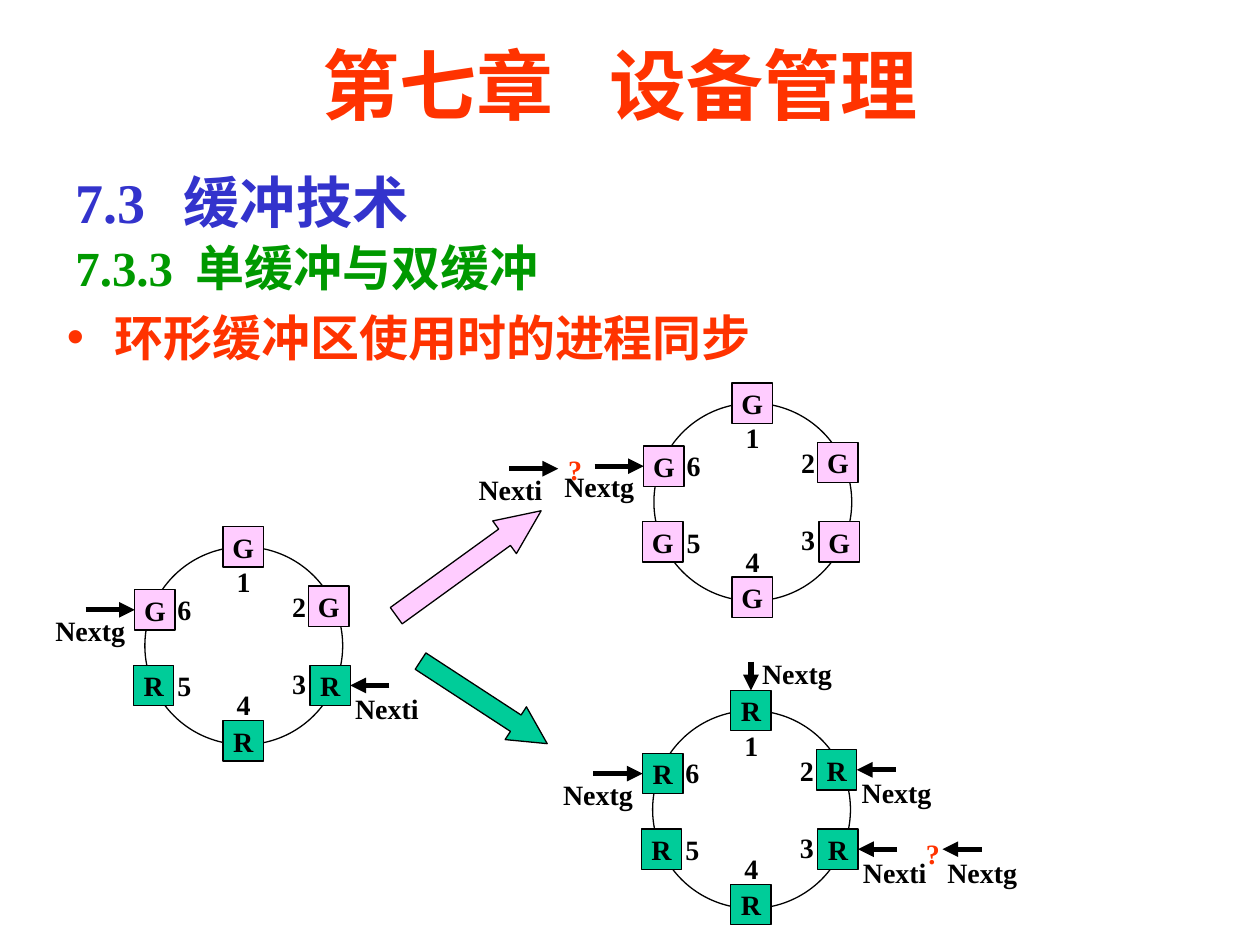
from lxml import etree
from pptx import Presentation
from pptx.dml.color import RGBColor
from pptx.enum.shapes import MSO_CONNECTOR, MSO_SHAPE
from pptx.enum.text import MSO_ANCHOR, MSO_AUTO_SIZE, PP_ALIGN
from pptx.oxml.ns import qn
from pptx.util import Inches, Pt

OVAL, RECTANGLE, ARROW = MSO_SHAPE.OVAL, MSO_SHAPE.RECTANGLE, MSO_SHAPE.RIGHT_ARROW
STRAIGHT = MSO_CONNECTOR.STRAIGHT
MIDDLE, TOP = MSO_ANCHOR.MIDDLE, MSO_ANCHOR.TOP
CENTER, LEFT = PP_ALIGN.CENTER, PP_ALIGN.LEFT
NO_AUTOFIT = MSO_AUTO_SIZE.NONE

FONT = "Times New Roman"
BLACK, RED, BLUE, GREEN = "000000", "FF3300", "3333CC", "009900"
PINK, TEAL = "FFCCFF", "00CC99"
SLOT_FILLS = {"G": PINK, "R": TEAL}

SLIDE_WIDTH, SLIDE_HEIGHT = Inches(10), Inches(7.5)
CELL = SLIDE_WIDTH / 100
RING, SLOT, LABEL_HEIGHT = 15.7, 3.2, 3.7
SLOT_OFFSETS = [(6.2, -1.6), (13, 3.1), (13.1, 9.4), (6.2, 13.8), (-0.9, 9.4), (-0.8, 3.4)]
NUMBER_OFFSETS = [(6.3, 0.9), (10.7, 2.9), (10.7, 9), (6.3, 10.7), (1.6, 9.2), (1.6, 3.1)]
POINTERS = {
    "top": ((0, -2.3), (-0.1, -3.2), 0),
    "left": ((-3.9, 0), (-7.3, -0.2), 1),
    "right": ((3.1, 0), (-0.6, 0), 3),
}


def cells(*values):
    return [round(value * CELL) for value in values]


def colour(value):
    return RGBColor.from_string(value)


def format_font(font, size, value):
    font.name = FONT
    font.size = Pt(size)
    font.bold = True
    font.color.rgb = colour(value)


def place(shape, box):
    shape.left, shape.top, shape.width, shape.height = cells(*box)


def add_gapped(para, before, gap, after, size, value):
    for text in (before, " ", after):
        span = para.add_run()
        span.text = text
        format_font(span.font, size, value)
        if text == " ":
            span.font._element.set("spc", str(gap * 100))


def add_outlined(page, kind, box, fill=None):
    shape = page.shapes.add_shape(kind, *cells(*box))
    shape.shadow.inherit = False
    shape.line.color.rgb = colour(BLACK)
    shape.line.width = Pt(0.75)
    if fill:
        shape.fill.solid()
        shape.fill.fore_color.rgb = colour(fill)
    else:
        shape.fill.background()
    return shape


def add_label(page, text, left, top, width=SLOT, value=BLACK):
    label = page.shapes.add_textbox(*cells(left, top, width, LABEL_HEIGHT))
    label.text_frame.word_wrap = True
    para = label.text_frame.paragraphs[0]
    para.text = text
    format_font(para.font, 16, value)


def add_slot(page, state, left, top):
    slot = add_outlined(page, RECTANGLE, (left, top, SLOT, SLOT), SLOT_FILLS[state])
    frame = slot.text_frame
    frame.word_wrap = False
    frame.vertical_anchor = MIDDLE
    para = frame.paragraphs[0]
    para.text = state
    para.alignment = CENTER
    format_font(para.font, 16, BLACK)
    return slot


def add_ring(page, left, top, states):
    add_outlined(page, OVAL, (left, top, RING, RING))
    slots = []
    for state, (across, down) in zip(states, SLOT_OFFSETS):
        slots.append(add_slot(page, state, left + across, top + down))
    for number, (across, down) in enumerate(NUMBER_OFFSETS, 1):
        add_label(page, str(number), left + across, top + down)
    return slots


def add_pointer(page, text, side, tip, slot=None):
    start, offset, site = POINTERS[side]
    x, y = tip
    line = page.shapes.add_connector(STRAIGHT, *cells(x + start[0], y + start[1], x, y))
    line.line.color.rgb = colour(BLACK)
    line.line.width = Pt(3)
    etree.SubElement(line.line._get_or_add_ln(), qn("a:tailEnd"), type="triangle")
    etree.SubElement(line._element.spPr, qn("a:effectLst"))
    if slot is not None:
        line.end_connect(slot, site)
    add_label(page, text, x + offset[0], y + offset[1], 7.9)


def point_at(page, text, side, slot):
    left, top = slot.left / CELL, slot.top / CELL
    tips = {
        "top": (left + SLOT / 2, top),
        "left": (left, top + SLOT / 2),
        "right": (left + SLOT, top + SLOT / 2),
    }
    add_pointer(page, text, side, tips[side], slot)


def add_block_arrow(page, box, rotation, head, fill):
    arrow = add_outlined(page, ARROW, box, fill)
    arrow.rotation = rotation
    arrow.adjustments[0] = 0.5
    arrow.adjustments[1] = head


def fill_title(page, box):
    title = page.shapes.title
    place(title, box)
    frame = title.text_frame
    frame.auto_size = NO_AUTOFIT
    frame.vertical_anchor = MIDDLE
    para = frame.paragraphs[0]
    para.alignment = CENTER
    add_gapped(para, "第七章", 22, "设备管理", 44, RED)


def add_headings(page, box):
    headings = page.shapes.add_textbox(*cells(*box))
    headings.text_frame.word_wrap = True
    para = headings.text_frame.paragraphs[0]
    para.line_spacing = 1.05
    add_gapped(para, "7.3", 14, "缓冲技术", 32, BLUE)
    para.add_line_break()
    add_gapped(para, "7.3.3", 6, "单缓冲与双缓冲", 28, GREEN)


def fill_body(page, box):
    body = page.placeholders[1]
    place(body, box)
    frame = body.text_frame
    frame.auto_size = NO_AUTOFIT
    frame.vertical_anchor = TOP
    para = frame.paragraphs[0]
    para.text = "环形缓冲区使用时的进程同步"
    para.alignment = LEFT
    para.line_spacing = 1.1
    para.space_before = Pt(0)
    properties = para._p.get_or_add_pPr()
    indent, = cells(3.8)
    properties.set("marL", str(indent))
    properties.set("indent", str(-indent))
    etree.SubElement(properties, qn("a:buChar"), char="•")
    format_font(para.font, 28, RED)


def draw_start(page, left, top):
    slots = add_ring(page, left, top, "GGRRRG")
    point_at(page, "Nexti", "right", slots[2])
    point_at(page, "Nextg", "left", slots[5])


def draw_all_free(page, left, top):
    slots = add_ring(page, left, top, "GGGGGG")
    point_at(page, "Nextg", "left", slots[5])
    add_pointer(page, "Nexti", "left", (left - 7.6, top + 5.2))
    add_label(page, "?", left - 7.8, top + 3.4, value=RED)


def draw_all_taken(page, left, top):
    slots = add_ring(page, left, top, "RRRRRR")
    point_at(page, "Nexti", "right", slots[2])
    for side, slot in (("left", slots[5]), ("top", slots[0]), ("right", slots[1])):
        point_at(page, "Nextg", side, slot)
    add_pointer(page, "Nextg", "right", (left + 23, top + 11))
    add_label(page, "?", left + 20.7, top + 9.5, value=RED)


def main():
    deck = Presentation()
    deck.slide_width, deck.slide_height = SLIDE_WIDTH, SLIDE_HEIGHT
    page = deck.slides.add_slide(deck.slide_layouts[1])
    fill_title(page, (11.7, 2.5, 75, 8.3))
    add_headings(page, (5, 12.5, 90, 11.5))
    fill_body(page, (4.3, 23.4, 92.9, 6.3))
    draw_start(page, 11.5, 43.4)
    add_block_arrow(page, (30.1, 43.1, 14.2, 3.2), 324.1, 1.12, PINK)
    draw_all_free(page, 51.9, 32)
    add_block_arrow(page, (32.4, 54.2, 12, 3.1), 33.1, 0.96, TEAL)
    draw_all_taken(page, 51.8, 56.4)
    deck.save("out.pptx")


if __name__ == "__main__":
    main()
